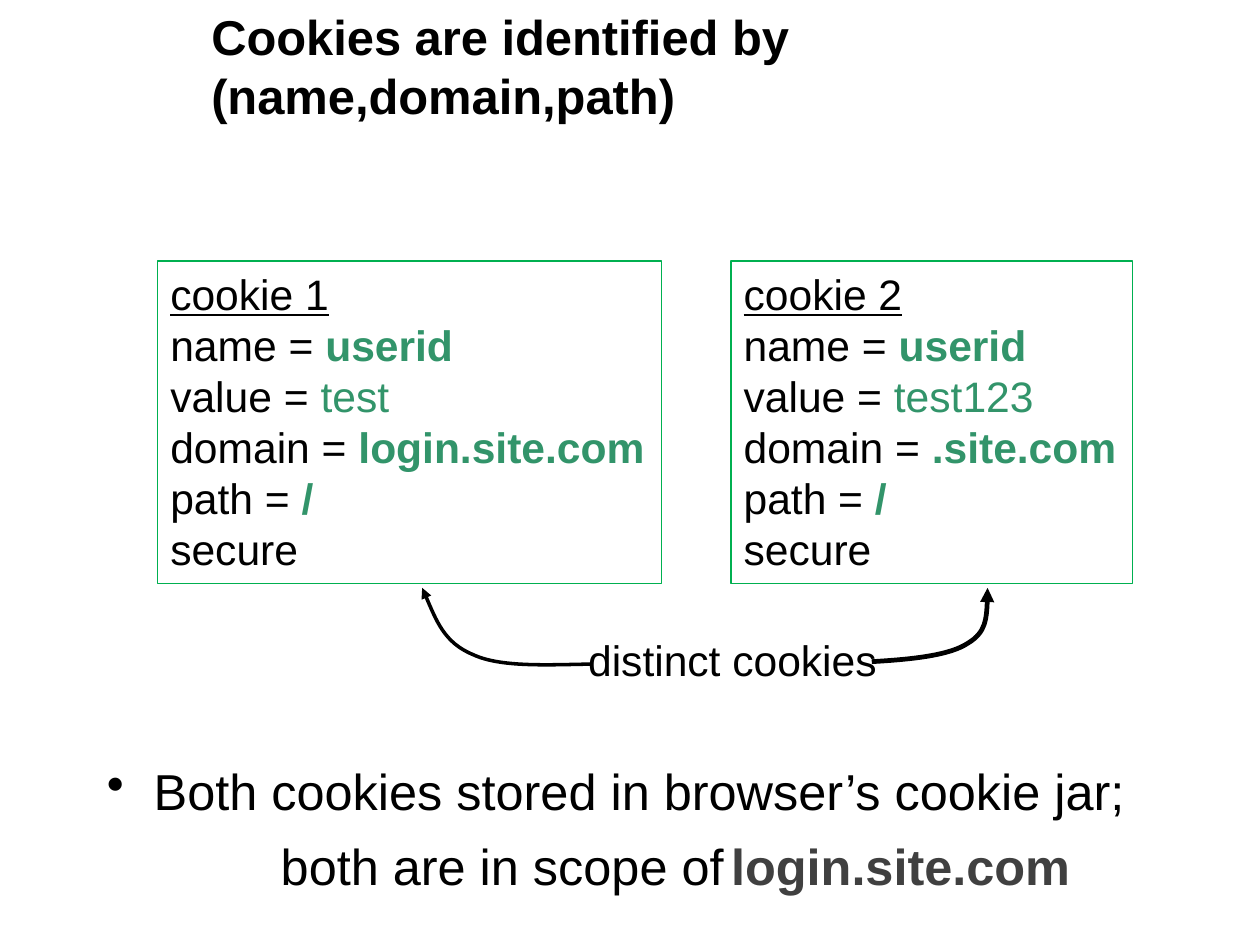
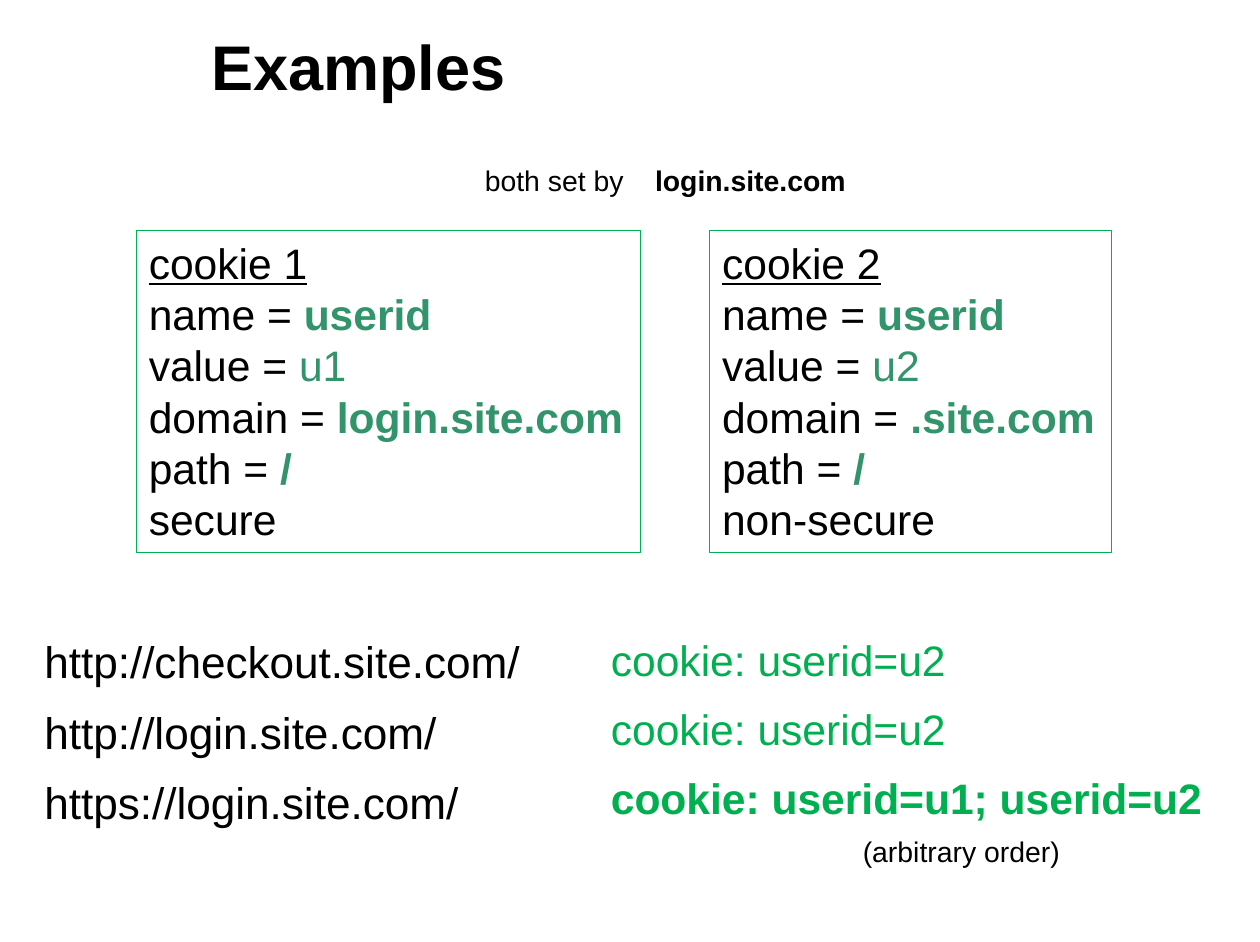
from dataclasses import dataclass

from pptx import Presentation
from pptx import util as u
from pptx.dml.color import RGBColor
from pptx.enum import shapes, text
from pptx.oxml import ns
from lxml import etree


@dataclass(frozen=True)
class Theme:
    font: str = "Arial"
    ink: str = "000000"
    gray: str = "404040"
    green: str = "00B050"
    value: str = "32946A"
    head: int = 40
    long_head: int = 31
    lead: int = 32
    link: int = 28
    base: int = 27
    note: int = 18
    gap: float = 11.1


T = Theme()
WIDE, HIGH = u.Inches(11.1), u.Inches(8.3)
FRAME = dict(word_wrap=True, margin_left=WIDE // 100, margin_right=WIDE // 100,
             margin_top=u.Inches(0.06), margin_bottom=u.Inches(0.06))


def put(item, **marks):
    for key, mark in marks.items():
        setattr(item, key, mark)


def place(box):
    return [round(part * side / 100) for part, side in zip(box, (WIDE, HIGH) * 2)]


def node(parent, tag, **marks):
    return etree.SubElement(parent, ns.qn(tag), marks)


def write(shape, lines, size, color=T.ink, gap=0, anchor=text.MSO_ANCHOR.TOP):
    frame = shape.text_frame
    put(frame, vertical_anchor=anchor, **FRAME)
    for i, line in enumerate(lines):
        para = frame.paragraphs[0] if i == 0 else frame.add_paragraph()
        put(para, alignment=text.PP_ALIGN.LEFT, space_before=u.Pt(gap))
        for words, look in line:
            run = para.add_run()
            run.text = words
            look = dict(look)
            run.font.color.rgb = RGBColor.from_string(look.pop("color", color))
            put(run.font, **{"name": T.font, "size": u.Pt(size), **look})
    return frame.paragraphs


def label(slide, box, lines, size, **style):
    return write(slide.shapes.add_textbox(*place(box)), lines, size, **style)


def indent(para, left=0, first=0, bullet=None, tab=None):
    props = para._p.get_or_add_pPr()
    props.set("marL", str(round(left * WIDE / 100)))
    props.set("indent", str(round(first * WIDE / 100)))
    if bullet:
        node(props, "a:buChar", char=bullet)
    if tab:
        node(node(props, "a:tabLst"), "a:tab", pos=str(round(tab * WIDE / 100)), algn="l")


def title(slide, words, size):
    label(slide, (15.77, 0.96, 82.6, 12.05), [[(words, {"bold": True})]], size,
          anchor=text.MSO_ANCHOR.MIDDLE)


def cookie(slide, box, head, value, domain, last):
    card = slide.shapes.add_shape(shapes.MSO_SHAPE.RECTANGLE, *place(box))
    card.shadow.inherit = False
    card.fill.background()
    card.line.color.rgb = RGBColor.from_string(T.green)
    card.line.width = u.Pt(0.75)
    fields = [("name", "userid", True), ("value", value, False),
              ("domain", domain, True), ("path", "/", True)]
    lines = [[(key + " = ", {}), (val, {"color": T.value, "bold": bold})]
             for key, val, bold in fields]
    write(card, [[(head, {"underline": True})], *lines, [(last, {})]], T.base)


def pair(slide, left, top, values, lasts):
    for i, (wide, domain) in enumerate([(40, "login.site.com"), (31.89, ".site.com")]):
        cookie(slide, (left, top, wide, 34.22), f"cookie {i + 1}", values[i], domain, lasts[i])
        left += wide + 5.5


def arrow(slide, box, points, width):
    left, top, wide, high = place(box)
    spots = [(round(left + x * wide), round(top + y * high)) for x, y in points]
    build = slide.shapes.build_freeform(*spots[0])
    curve = build.add_line_segments(spots[1:], close=False).convert_to_shape()
    curve.shadow.inherit = False
    curve.fill.background()
    curve.line.color.rgb = RGBColor.from_string(T.ink)
    curve.line.width = u.Pt(width)
    node(curve.line._get_or_add_ln(), "a:tailEnd", type="triangle")
    legs = list(curve._element.iter(ns.qn("a:lnTo")))
    for i in range(0, len(legs), 3):
        bend = etree.Element(ns.qn("a:cubicBezTo"))
        legs[i].addprevious(bend)
        for leg in legs[i:i + 3]:
            bend.append(leg[0])
            leg.getparent().remove(leg)


def scope(slide):
    title(slide, "Cookies are identified by (name,domain,path)", T.long_head)
    pair(slide, 12.52, 27.71, ("test", "test123"), ("secure", "secure"))
    label(slide, (45.68, 66.63, 25.14, 6.87), [[("distinct cookies", {})]], T.base)
    arrow(slide, (33.51, 62.41, 13.42, 8.43),
          [(1, .96), (.73, .97), (.46, 1), (.3, .84), (.13, .69), (.07, .34), (0, 0)], 2.25)
    arrow(slide, (69.19, 62.41, 9.19, 7.83),
          [(0, 1), (.33, .97), (.67, .92), (.83, .75), (.99, .6), (1, .29), (1, 0)], 3)
    first, second = label(slide, (7.48, 80, 85, 15.54), [
        [("Both cookies stored in browser’s cookie jar;", {})],
        [("both are in scope of\t", {}), ("login.site.com", {"color": T.gray, "bold": True})],
    ], T.lead, gap=8.9)
    indent(first, 3.72, -3.72, bullet="•")
    indent(second, first=13.8, tab=53.4)


def samples(slide):
    title(slide, "Examples", T.head)
    note, = label(slide, (37.48, 16.63, 32, 4.94),
                  [[("both set by\t", {}), ("login.site.com", {"bold": True})]], T.note)
    indent(note, tab=12.95)
    pair(slide, 10.81, 24.46, ("u1", "u2"), ("secure", "non-secure"))
    hosts = ("http://checkout", "http://login", "https://login")
    label(slide, (2.52, 66.63, 41.71, 24.46),
          [[(host + ".site.com/", {})] for host in hosts], T.link, gap=T.gap)
    sent = [("u2", False), ("u2", False), ("u1; userid=u2", True)]
    label(slide, (47.48, 66.63, 50, 21.45),
          [[("cookie: userid=" + ids, {"bold": bold})] for ids, bold in sent],
          T.base, color=T.green, gap=T.gap)
    label(slide, (67.48, 87.83, 18.5, 4.94), [[("(arbitrary order)", {})]], T.note)


def main():
    deck = Presentation()
    put(deck, slide_width=WIDE, slide_height=HIGH)
    for draw in (scope, samples):
        draw(deck.slides.add_slide(deck.slide_layouts[6]))
    deck.save("out.pptx")


if __name__ == "__main__":
    main()
